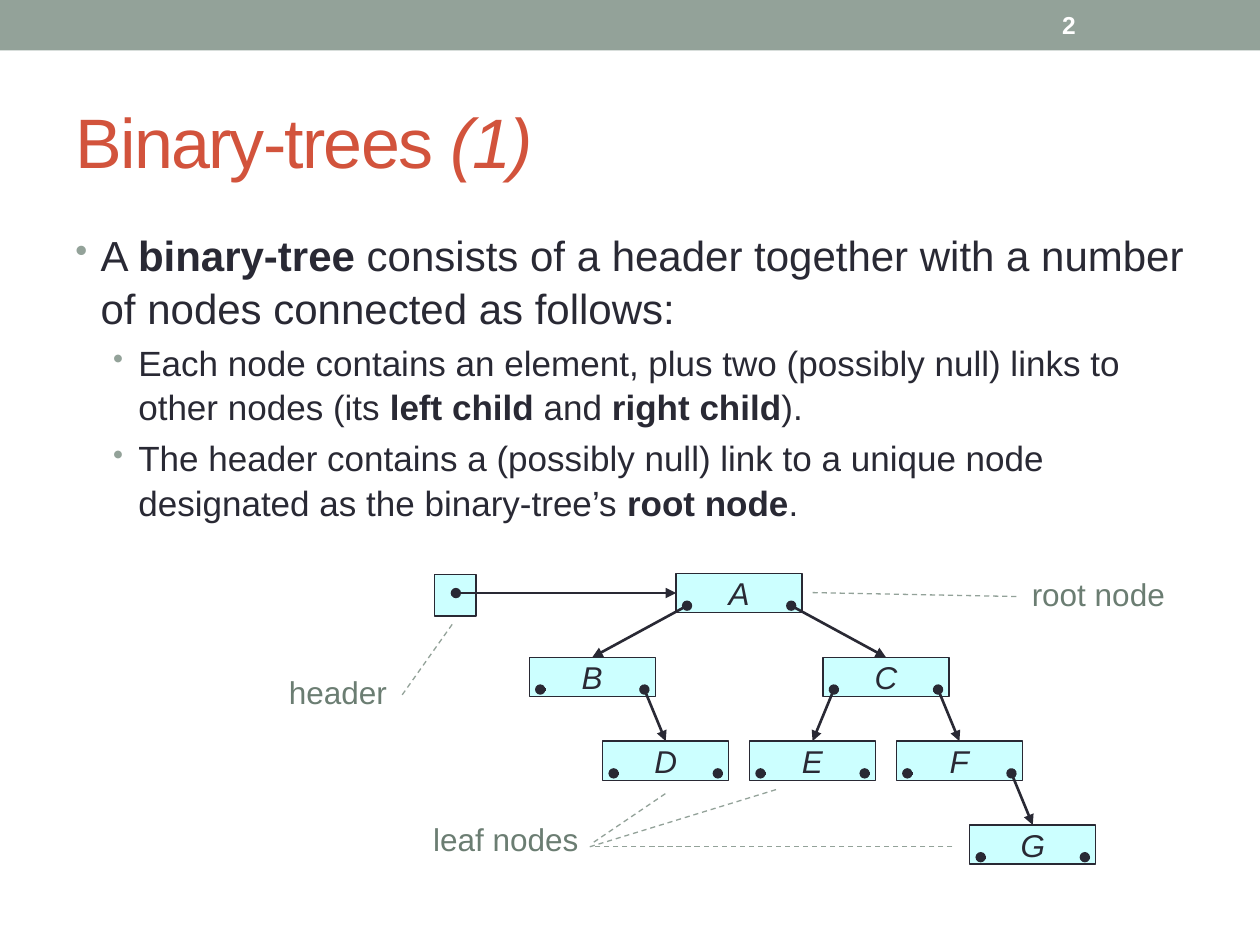
"""Build the binary-tree definition slide."""
from pptx import Presentation
from pptx.dml.color import RGBColor
from pptx.enum.dml import MSO_LINE
from pptx.enum.shapes import MSO_CONNECTOR, MSO_SHAPE
from pptx.enum.text import MSO_ANCHOR, PP_ALIGN
from pptx.oxml.ns import qn
from pptx.oxml.xmlchemy import OxmlElement
from pptx.util import Cm, Pt

RECTANGLE = MSO_SHAPE.RECTANGLE
CALLOUT = MSO_SHAPE.LINE_CALLOUT_1_NO_BORDER
STRAIGHT = MSO_CONNECTOR.STRAIGHT
DASH = MSO_LINE.DASH
TOP, MIDDLE = MSO_ANCHOR.TOP, MSO_ANCHOR.MIDDLE
LEFT, CENTER, RIGHT = PP_ALIGN.LEFT, PP_ALIGN.CENTER, PP_ALIGN.RIGHT
SITE_TOP, SITE_LEFT = 0, 1

SAGE = RGBColor(0x93, 0xA2, 0x99)
DARK_SAGE = RGBColor(0x6B, 0x7D, 0x72)
RUST = RGBColor(0xD2, 0x53, 0x3C)
INK = RGBColor(0x29, 0x29, 0x34)
CYAN = RGBColor(0xCC, 0xFF, 0xFF)
WHITE = RGBColor(0xFF, 0xFF, 0xFF)
FONT = "Arial"

NODE_WIDTH, NODE_HEIGHT = 2.54, 0.79
TREE_LEFT, TREE_TOP = 10.67, 11.56
COLUMN_STEP, ROW_STEP = 1.48, 1.69
DOT_X = {"left": 0.22, "right": 2.32}
DOT_Y = 0.65

NODES = {"A": (2, 0), "B": (0, 1), "C": (4, 1), "D": (1, 2),
         "E": (3, 2), "F": (5, 2), "G": (6, 3)}
CHILDREN = {("A", "left"): "B", ("A", "right"): "C", ("B", "right"): "D",
            ("C", "left"): "E", ("C", "right"): "F", ("F", "right"): "G"}

BULLETS = [
    (0, [("A ", False), ("binary-tree", True),
         (" consists of a header together with a number of nodes connected as follows:", False)]),
    (1, [("Each node contains an element, plus two (possibly null) links to other nodes (its ", False),
         ("left child", True), (" and ", False), ("right child", True), (").", False)]),
    (1, [("The header contains a (possibly null) link to a unique node designated as the "
          "binary-tree’s ", False), ("root node", True), (".", False)]),
]
CALLOUTS = [
    ("header", (5.31, 13.69, 2.59, 0.66), RIGHT, (0.483, 1.081, -1.718, 1.478)),
    ("root node", (20.7, 11.71, 3.2, 0.66), LEFT, (0.48, -0.066, 0.36, -1.351)),
    ("leaf nodes", (8.51, 16.66, 3.25, 0.66), RIGHT, (0.483, 1.065, -1, 1.509)),
]
LEAF_LINES = [((11.89, 17.07), (15.7, 15.9)), ((19.2, 17.07), (11.89, 17.07))]


def style_font(font, size, color, bold=False, italic=False):
    """Set the face, size, colour and emphasis of a font."""
    font.name, font.size, font.color.rgb = FONT, Pt(size), color
    font.bold, font.italic = bold, italic


def add_text_box(slide, box, anchor=TOP):
    """Add a wrapping text box and return its text frame."""
    text_frame = slide.shapes.add_textbox(*map(Cm, box)).text_frame
    text_frame.word_wrap = True
    text_frame.vertical_anchor = anchor
    return text_frame


def add_box(slide, box, fill, line=None):
    """Add a filled rectangle with an optional thin outline."""
    shape = slide.shapes.add_shape(RECTANGLE, *map(Cm, box))
    shape.shadow.inherit = False
    shape.fill.solid()
    shape.fill.fore_color.rgb = fill
    if line is None:
        shape.line.fill.background()
    else:
        shape.line.color.rgb, shape.line.width = line, Pt(0.75)
    return shape


def add_line(slide, start, end, color, width, ends=()):
    """Add a shadowless connector with the given (tag, type) line ends."""
    connector = slide.shapes.add_connector(STRAIGHT, *map(Cm, start + end))
    connector.line.color.rgb, connector.line.width = color, Pt(width)
    properties = connector._element.spPr
    for tag, kind in ends:
        line_end = OxmlElement(tag)
        line_end.set("type", kind)
        properties.find(qn("a:ln")).append(line_end)
    properties.append(OxmlElement("a:effectLst"))
    return connector


def add_pointer(slide, start, target, site):
    """Add an arrow from a dot to a connection site of a node."""
    ends = (("a:headEnd", "oval"), ("a:tailEnd", "triangle"))
    connector = add_line(slide, start, start, INK, 1.5, ends)
    connector.end_connect(target, site)


def add_title(slide):
    """Add the title with its italic part number."""
    paragraph = add_text_box(slide, (1.27, 1.47, 22.86, 2.74), MIDDLE).paragraphs[0]
    for text, italic in (("Binary-trees ", False), ("(1)", True)):
        run = paragraph.add_run()
        run.text = text
        style_font(run.font, 40, RUST, italic=italic)
        run._r.get_or_add_rPr().set("spc", "-100")


def add_bullet(paragraph, level):
    """Give a paragraph a sage bullet and the indent of its level."""
    properties = paragraph._p.get_or_add_pPr()
    properties.set("marL", str(Cm(1.27 if level else 0.51)))
    properties.set("indent", str(Cm(-0.51)))
    color = OxmlElement("a:buClr")
    value = OxmlElement("a:srgbClr")
    value.set("val", str(SAGE))
    color.append(value)
    size = OxmlElement("a:buSzPct")
    size.set("val", "85000")
    character = OxmlElement("a:buChar")
    character.set("char", "•")
    for element in (color, size, character):
        properties.append(element)


def add_body(slide):
    """Add the bulleted definition."""
    text_frame = add_text_box(slide, (1.27, 4.45, 22.86, 13.54))
    for index, (level, parts) in enumerate(BULLETS):
        paragraph = text_frame.add_paragraph() if index else text_frame.paragraphs[0]
        paragraph.level = level
        add_bullet(paragraph, level)
        paragraph.line_spacing = 1.05
        paragraph.space_before = Pt(4 if index else 0)
        for text, bold in parts:
            run = paragraph.add_run()
            run.text = text
            style_font(run.font, 20 if level else 24, INK, bold=bold)


def add_node(slide, name, left, top):
    """Add a tree node with its italic element."""
    shape = add_box(slide, (left, top, NODE_WIDTH, NODE_HEIGHT), CYAN, INK)
    text_frame = shape.text_frame
    text_frame.margin_left = text_frame.margin_right = 0
    text_frame.margin_top = text_frame.margin_bottom = 0
    text_frame.vertical_anchor = MIDDLE
    text_frame.text = name
    paragraph = text_frame.paragraphs[0]
    paragraph.alignment = CENTER
    style_font(paragraph.runs[0].font, 18, INK, italic=True)
    return shape


def add_tree(slide):
    """Add the header, the nodes and all their links."""
    places = {name: (TREE_LEFT + column * COLUMN_STEP, TREE_TOP + row * ROW_STEP)
              for name, (column, row) in NODES.items()}
    add_box(slide, (8.76, 11.58, 0.84, 0.84), CYAN, INK)
    shapes = {name: add_node(slide, name, *place) for name, place in places.items()}
    add_pointer(slide, (9.19, TREE_TOP + NODE_HEIGHT / 2), shapes["A"], SITE_LEFT)
    for name, (left, top) in places.items():
        for side, offset in DOT_X.items():
            x, y = left + offset, top + DOT_Y
            child = CHILDREN.get((name, side))
            if child:
                add_pointer(slide, (x, y), shapes[child], SITE_TOP)
            else:
                add_line(slide, (x, y), (x + 0.1, y), INK, 1.5, (("a:headEnd", "oval"),))


def add_callout(slide, text, box, alignment, adjustments):
    """Add a borderless label with a dashed leader line."""
    shape = slide.shapes.add_shape(CALLOUT, *map(Cm, box))
    shape.shadow.inherit = False
    shape.fill.background()
    shape.line.color.rgb, shape.line.width = SAGE, Pt(0.75)
    shape.line.dash_style = DASH
    for index, value in enumerate(adjustments):
        shape.adjustments[index] = value
    text_frame = shape.text_frame
    text_frame.margin_left = text_frame.margin_right = Cm(0.1)
    text_frame.margin_top = text_frame.margin_bottom = 0
    text_frame.vertical_anchor = TOP
    text_frame.text = text
    paragraph = text_frame.paragraphs[0]
    paragraph.alignment, paragraph.line_spacing = alignment, Pt(18)
    style_font(paragraph.runs[0].font, 18, DARK_SAGE)


def add_slide_number(slide):
    """Add the slide number in the top band."""
    text_frame = add_text_box(slide, (21.16, 0.05, 2.97, 0.91), MIDDLE)
    text_frame.text = "2"
    style_font(text_frame.paragraphs[0].runs[0].font, 14, WHITE, bold=True)


def main():
    """Build and save the presentation."""
    presentation = Presentation()
    presentation.slide_width, presentation.slide_height = Cm(25.4), Cm(19.05)
    slide = presentation.slides.add_slide(presentation.slide_layouts[6])
    add_box(slide, (0, 0, 25.4, 1.02), SAGE)
    add_title(slide)
    add_body(slide)
    add_tree(slide)
    for callout in CALLOUTS:
        add_callout(slide, *callout)
    for start, end in LEAF_LINES:
        add_line(slide, start, end, SAGE, 0.75).line.dash_style = DASH
    add_slide_number(slide)
    presentation.save("out.pptx")


if __name__ == "__main__":
    main()
